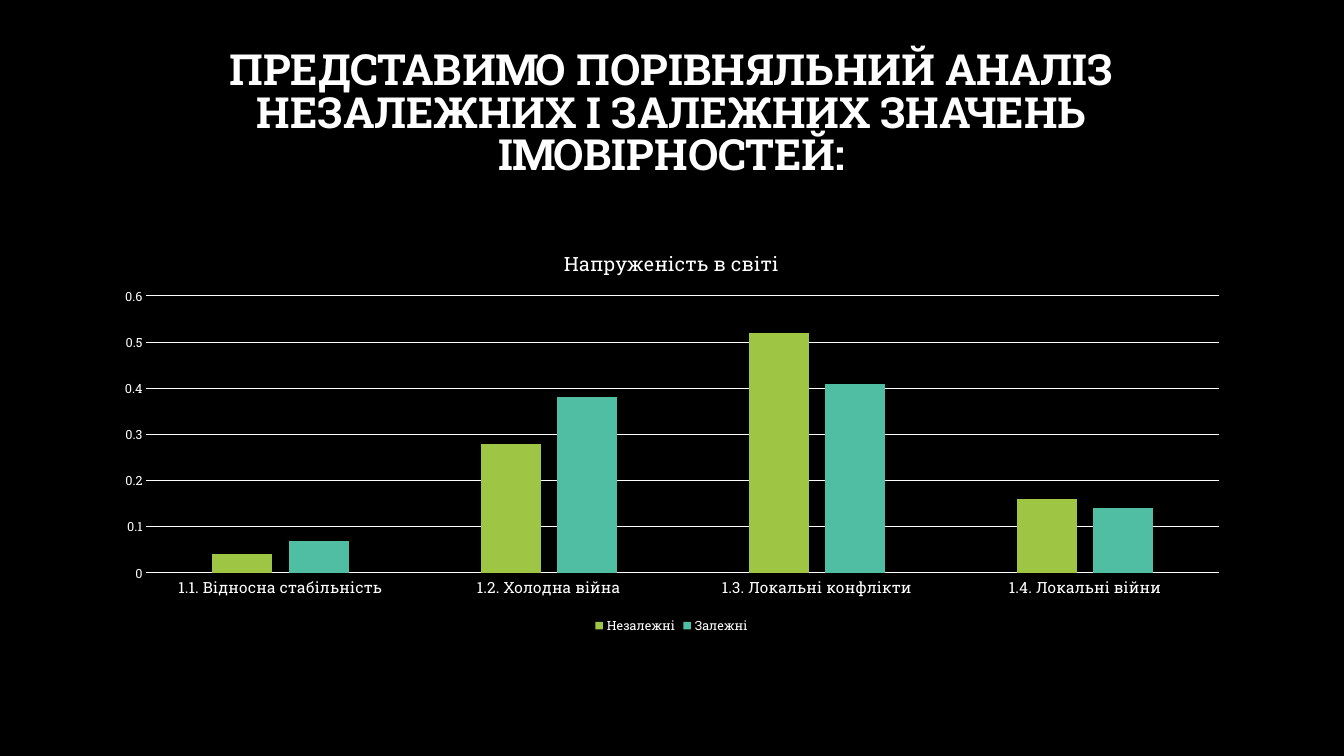
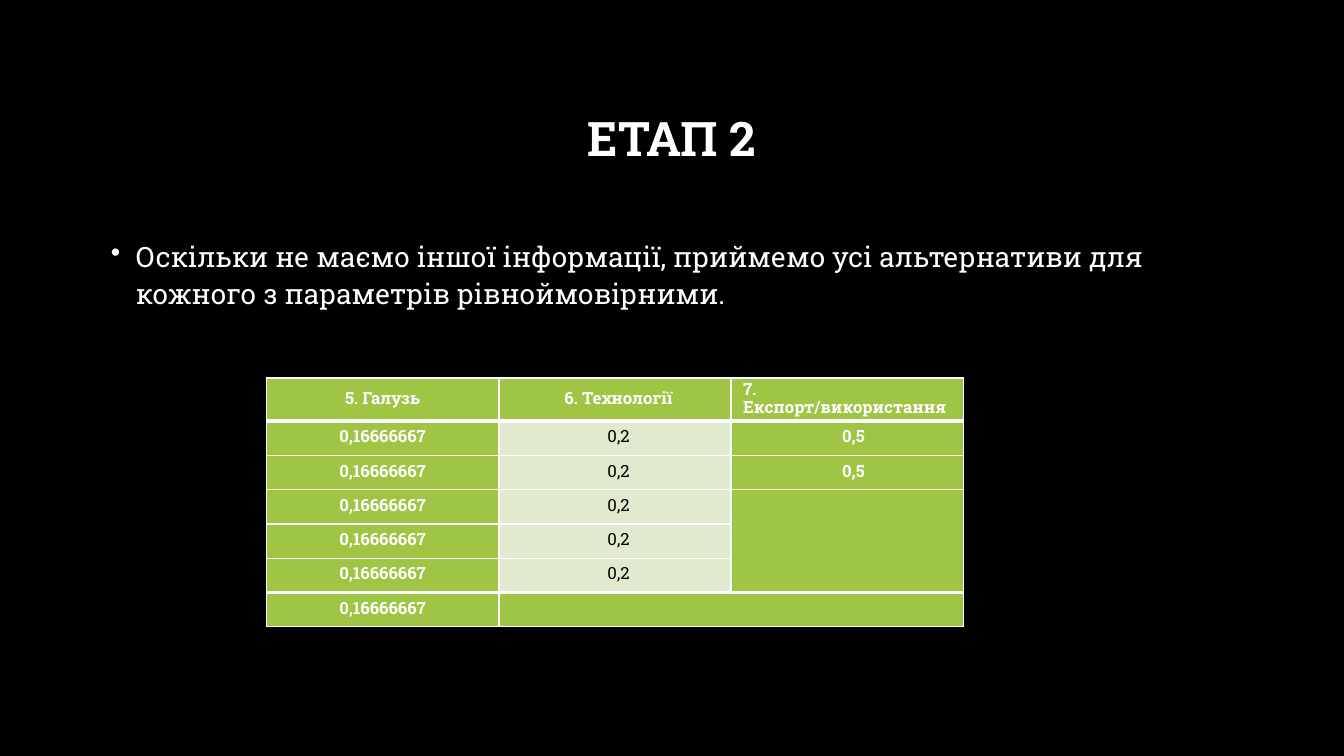
from lxml.etree import SubElement
from pptx import Presentation
from pptx.chart.data import CategoryChartData
from pptx.dml.color import RGBColor
from pptx.enum.chart import XL_CHART_TYPE, XL_LEGEND_POSITION, XL_TICK_MARK
from pptx.enum.text import MSO_ANCHOR, MSO_AUTO_SIZE, PP_ALIGN
from pptx.oxml import parse_xml
from pptx.oxml.ns import nsdecls, qn
from pptx.util import Inches, Pt

BLACK = RGBColor(0x00, 0x00, 0x00)
WHITE = RGBColor(0xFF, 0xFF, 0xFF)
GREEN = RGBColor(0x9E, 0xC5, 0x44)
TEAL = RGBColor(0x50, 0xBE, 0xA3)
PALE_GREEN = RGBColor(0xDF, 0xEA, 0xCF)
FONT = "Roboto Slab"
LEFT, WIDTH = Inches(1), Inches(11.32)
CONTENT_TOP, CONTENT_HEIGHT = Inches(2.29), Inches(4.04)


def write_text(frame, text, size, color=WHITE, bold=False,
               align=PP_ALIGN.LEFT, spacing=1.0, bullet=None):
    frame.word_wrap = True
    paragraph = frame.paragraphs[0]
    paragraph.alignment = align
    paragraph.line_spacing = spacing
    if bullet:
        properties = paragraph._p.get_or_add_pPr()
        properties.set("marL", str(Inches(0.25)))
        properties.set("indent", str(-Inches(0.25)))
        SubElement(properties, qn("a:buChar")).set("char", bullet)
    run = paragraph.add_run()
    run.text = text
    run.font.name = FONT
    run.font.size = Pt(size)
    run.font.bold = bold
    run.font.color.rgb = color


def add_titled_slide(text, size, top, spacing):
    slide = prs.slides.add_slide(prs.slide_layouts[5])
    title = slide.shapes.title
    title.left, title.top = LEFT, Inches(top)
    title.width, title.height = WIDTH, Inches(1.45)
    title.text_frame.auto_size = MSO_AUTO_SIZE.NONE
    title.text_frame.vertical_anchor = MSO_ANCHOR.MIDDLE
    write_text(title.text_frame, text, size, bold=True,
               align=PP_ALIGN.CENTER, spacing=spacing)
    return slide


prs = Presentation()
prs.slide_width, prs.slide_height = Inches(13.33), Inches(7.5)
background = prs.slide_master.background.fill
background.solid()
background.fore_color.rgb = BLACK

# Slide 1: comparison of probabilities
comparison = add_titled_slide(
    "ПРЕДСТАВИМО ПОРІВНЯЛЬНИЙ АНАЛІЗ НЕЗАЛЕЖНИХ І ЗАЛЕЖНИХ ЗНАЧЕНЬ ІМОВІРНОСТЕЙ:",
    size=30.6, top=0.42, spacing=0.82)

probabilities = CategoryChartData()
probabilities.categories = ["1.1. Відносна стабільність", "1.2. Холодна війна",
                            "1.3. Локальні конфлікти", "1.4. Локальні війни"]
probabilities.add_series("Незалежні", [0.04, 0.28, 0.52, 0.16])
probabilities.add_series("Залежні", [0.07, 0.38, 0.41, 0.14])
chart = comparison.shapes.add_chart(
    XL_CHART_TYPE.COLUMN_CLUSTERED, LEFT, CONTENT_TOP, WIDTH, CONTENT_HEIGHT,
    probabilities).chart
chart.font.name = FONT
chart.font.size = Pt(10)
chart.font.color.rgb = WHITE
chart.has_title = True
write_text(chart.chart_title.text_frame, "Напруженість в світі", 14,
           align=PP_ALIGN.CENTER)
chart.chart_title.include_in_layout = False

# Columns
columns = chart.plots[0]
columns.gap_width = 219
columns.overlap = -27
columns.vary_by_categories = False
for series, color in zip(columns.series, [GREEN, TEAL]):
    series.format.fill.solid()
    series.format.fill.fore_color.rgb = color

# Axes, gridlines and legend
levels, situations = chart.value_axis, chart.category_axis
levels.minimum_scale, levels.maximum_scale, levels.major_unit = 0, 0.6, 0.1
levels.format.line.fill.background()
for axis, size in [(levels, 9), (situations, 11)]:
    axis.major_tick_mark = axis.minor_tick_mark = XL_TICK_MARK.NONE
    axis.tick_labels.font.name = FONT
    axis.tick_labels.font.size = Pt(size)
    axis.tick_labels.font.color.rgb = WHITE
for line in [levels.major_gridlines.format.line, situations.format.line]:
    line.color.rgb = WHITE
    line.width = Pt(0.75)
chart.has_legend = True
chart.legend.position = XL_LEGEND_POSITION.BOTTOM
chart.legend.include_in_layout = False
chart.legend.font.name = FONT
chart.legend.font.size = Pt(9)
chart.legend.font.color.rgb = WHITE

# Plot area as shares of the chart frame
plot_area = chart._chartSpace.chart.plotArea
for old_layout in plot_area.findall(qn("c:layout")):
    plot_area.remove(old_layout)
plot_area.insert(0, parse_xml(
    f'<c:layout {nsdecls("c")}><c:manualLayout><c:layoutTarget val="inner"/>'
    '<c:xMode val="edge"/><c:yMode val="edge"/><c:x val="0.04"/><c:y val="0.16"/>'
    '<c:w val="0.94"/><c:h val="0.68"/></c:manualLayout></c:layout>'))

# Slide 2: equal probabilities
stage = add_titled_slide("ЕТАП 2", size=34, top=0.67, spacing=0.9)
assumption = stage.shapes.add_textbox(LEFT, CONTENT_TOP, WIDTH, Inches(1))
write_text(assumption.text_frame,
           "Оскільки не маємо іншої інформації, приймемо усі альтернативи для "
           "кожного з параметрів рівноймовірними.",
           20, spacing=1.11, bullet="•")

# Parameters and the probability of each alternative
parameters = [("5. Галузь", ["0,16666667"] * 6),
              ("6. Технології", ["0,2"] * 5),
              ("7. Експорт/використання", ["0,5"] * 2)]
row_heights = [0.43] + [0.34] * 6
last_row = len(row_heights) - 1
table = stage.shapes.add_table(len(row_heights), len(parameters), Inches(2.64),
                               Inches(3.75), Inches(6.92), Inches(2.47)).table
table.horz_banding = False
for row, height in zip(table.rows, row_heights):
    row.height = Inches(height)
for column, width in zip(table.columns, [2.31, 2.3, 2.31]):
    column.width = Inches(width)
table.cell(3, 2).merge(table.cell(5, 2))
table.cell(6, 1).merge(table.cell(6, 2))

for c, (name, values) in enumerate(parameters):
    for r in range(len(row_heights)):
        cell = table.cell(r, c)
        plain = c == 1 and 0 < r < last_row
        cell.fill.solid()
        cell.fill.fore_color.rgb = PALE_GREEN if plain else GREEN
        cell.vertical_anchor = MSO_ANCHOR.MIDDLE
        cell.margin_top = cell.margin_bottom = 0
        cell.margin_left = Inches([0, 0.07, 0.12][c])
        cell.margin_right = Inches(0.05 if r == 0 and c == 2 else 0)

        # Thick rules below the header and above the last row
        widths = {"L": 1, "R": 1, "T": 3 if r in (1, last_row) else 1,
                  "B": 3 if r in (0, last_row - 1) else 1}
        for position, (side, width) in enumerate(widths.items()):
            cell._tc.get_or_add_tcPr().insert(position, parse_xml(
                f'<a:ln{side} {nsdecls("a")} w="{Pt(width)}"><a:solidFill>'
                f'<a:srgbClr val="{WHITE}"/></a:solidFill></a:ln{side}>'))

        if r <= len(values):
            write_text(cell.text_frame, values[r - 1] if r else name, 12,
                       color=BLACK if plain else WHITE, bold=not plain,
                       align=PP_ALIGN.LEFT if r == 0 and c == 2 else PP_ALIGN.CENTER,
                       spacing=Pt(12.8))

prs.save("out.pptx")
